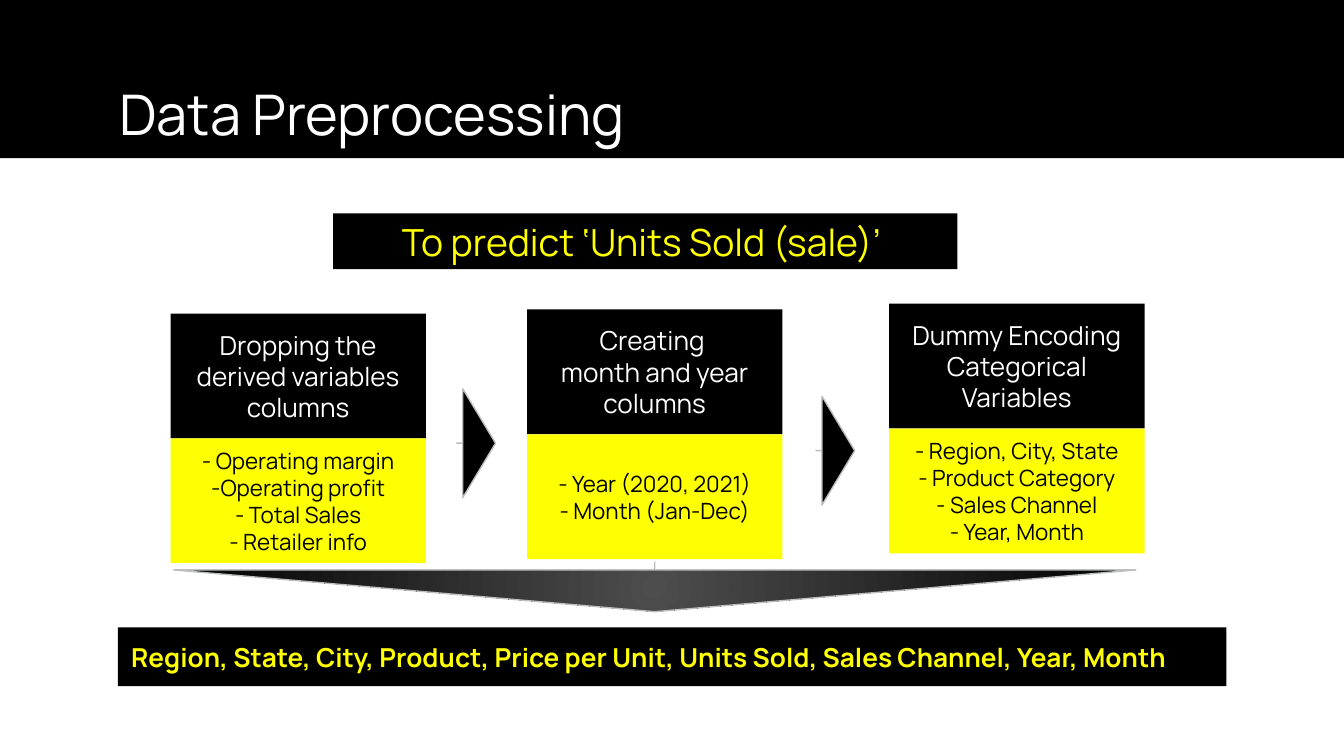
from lxml import etree
from pptx import Presentation
from pptx.dml.color import RGBColor
from pptx.enum.shapes import MSO_SHAPE
from pptx.enum.text import MSO_ANCHOR, PP_ALIGN
from pptx.oxml.ns import qn
from pptx.util import Pt

RECT, ARROW = MSO_SHAPE.RECTANGLE, MSO_SHAPE.RIGHT_ARROW
TOP, MIDDLE = MSO_ANCHOR.TOP, MSO_ANCHOR.MIDDLE
LEFT, CENTER = PP_ALIGN.LEFT, PP_ALIGN.CENTER

FONT = "Manrope"
COLORS = {"black": "000000", "white": "FFFFFF", "yellow": "FEFF00",
          "outline": "BCBFBE", "glow": "4D4D4D"}
INSET = 7.2


class Deck:
    """Holds the style and the current slide; all lengths are in points."""

    def __init__(self, slide):
        self.slide = slide

    def color(self, name):
        return RGBColor.from_string(COLORS[name])

    def add_text(self, shape, lines, size, color, align, anchor, bold=False):
        frame = shape.text_frame
        frame.word_wrap = True
        frame.vertical_anchor = anchor
        frame.margin_left = frame.margin_right = Pt(INSET)
        frame.margin_top = frame.margin_bottom = Pt(INSET)
        for index, line in enumerate(lines):
            paragraph = frame.add_paragraph() if index else frame.paragraphs[0]
            paragraph.alignment = align
            run = paragraph.add_run()
            run.text = line
            run.font.name = FONT
            run.font.size = Pt(size)
            run.font.bold = bold
            run.font.color.rgb = self.color(color)

    def title(self, box, text):
        label = self.slide.shapes.add_textbox(*map(Pt, box))
        self.add_text(label, [text], 30, "white", LEFT, TOP)

    def shape(self, kind, box, fill):
        shape = self.slide.shapes.add_shape(kind, *map(Pt, box))
        shape.shadow.inherit = False
        shape.fill.solid()
        shape.fill.fore_color.rgb = self.color(fill)
        shape.line.fill.background()
        return shape

    def panel(self, box, fill, lines, size, color, align=CENTER,
              anchor=MIDDLE, bold=False):
        panel = self.shape(RECT, box, fill)
        self.add_text(panel, lines, size, color, align, anchor, bold)

    def arrow(self, box):
        arrow = self.shape(ARROW, box, "black")
        arrow.adjustments[0], arrow.adjustments[1] = 0, 0.842
        arrow.line.color.rgb = self.color("outline")
        arrow.line.width = Pt(0.75)
        return arrow

    def glowing_arrow(self, box, rotation):
        arrow = self.arrow(box)
        arrow.rotation = rotation
        arrow.fill.gradient()
        for stop, name in zip(arrow.fill.gradient_stops, ("glow", "black")):
            stop.color.rgb = self.color(name)
        # Turn the linear gradient into a radial one
        gradient = arrow._element.spPr.find(qn("a:gradFill"))
        gradient.remove(gradient.find(qn("a:lin")))
        radial = etree.SubElement(gradient, qn("a:path"), {"path": "circle"})
        etree.SubElement(radial, qn("a:fillToRect"),
                         dict.fromkeys("ltrb", "50000"))


# Steps: left, top, heading lines, detail lines
STEP_W, STEP_H = 136.8, 66.9
STEPS = [
    (91.4, 168, ["Dropping the derived variables columns"],
     ["- Operating margin", "-Operating profit", "- Total Sales",
      "- Retailer info"]),
    (282.4, 165.8, ["Creating ", "month and year columns"],
     ["- Year (2020, 2021)", "- Month (Jan-Dec)"]),
    (476.4, 162.7, ["Dummy Encoding Categorical Variables"],
     ["- Region, City, State", "- Product Category", "- Sales Channel",
      "- Year, Month"]),
]


def main():
    prs = Presentation()
    prs.slide_width, prs.slide_height = Pt(720), Pt(405)
    deck = Deck(prs.slides.add_slide(prs.slide_layouts[6]))

    # Header band and title
    deck.shape(RECT, (-2, -4.5, 722, 89.3), "black")
    deck.title((56.7, 35.4, 607, 45.4), "Data Preprocessing")

    # Goal and resulting columns
    deck.panel((178.5, 114.3, 334.5, 30), "black",
               ["To predict ‘Units Sold (sale)’ "], 20, "yellow")
    deck.panel((63.2, 336.2, 593.8, 31.4), "black",
               ["Region, State, City, Product, Price per Unit, Units Sold, "
                "Sales Channel, Year, Month"],
               14, "yellow", LEFT, TOP, bold=True)

    # Three steps, each a heading above its details
    for left, top, heading, details in STEPS:
        deck.panel((left, top, STEP_W, STEP_H), "black",
                   heading, 14, "white")
        deck.panel((left, top + STEP_H, STEP_W, STEP_H), "yellow",
                   details, 12, "black")

    # Arrows between the steps, and down to the result
    for left, top in ((244.7, 208.3), (437.1, 212.3)):
        deck.arrow((left, top, 20.8, 58.3))
    deck.glowing_arrow((337.5, 56.7, 26.6, 515.5), 90)

    prs.save("out.pptx")


if __name__ == "__main__":
    main()
